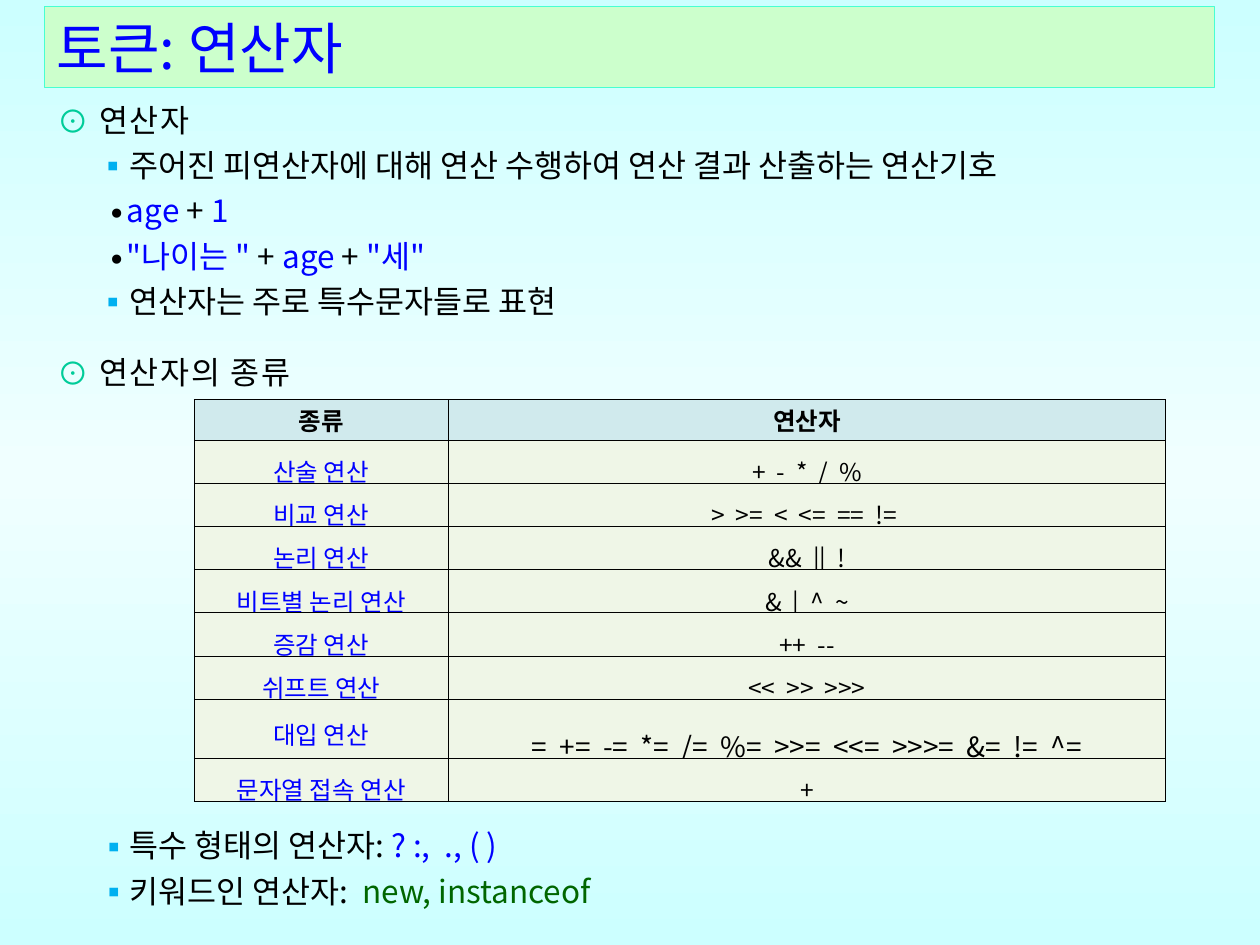
"""Build the slide on operator tokens with its table of operator kinds."""
from dataclasses import dataclass

from pptx import Presentation
from pptx.dml.color import RGBColor
from pptx.enum.text import MSO_ANCHOR, MSO_AUTO_SIZE, PP_ALIGN
from pptx.oxml.ns import qn
from pptx.oxml.xmlchemy import OxmlElement
from pptx.util import Inches, Pt

CENTER, LEFT = PP_ALIGN.CENTER, PP_ALIGN.LEFT
MIDDLE = MSO_ANCHOR.MIDDLE
NO_AUTOFIT = MSO_AUTO_SIZE.NONE
TITLE_ONLY = 5


@dataclass(frozen=True)
class Theme:
    face: str = "Noto Sans CJK KR"
    title_size: float = 32
    body_size: float = 18
    assignment_size: float = 16
    table_size: float = 14
    ink: str = "000000"
    blue: str = "0000FF"
    green: str = "006600"
    ring: str = "00CC99"
    square: str = "00B0F0"
    title_fill: str = "CCFFCC"
    title_line: str = "47FFD1"
    header_fill: str = "D0EAED"
    row_fill: str = "EFF6E7"
    background: tuple = ("CCFFFF", "F0FFFF", "CCFFFF")


@dataclass(frozen=True)
class Level:
    mark: str
    color: str
    margin: float
    hanging: float
    tracking: int = 0


THEME = Theme()
HEADING = Level("⊙", THEME.ring, 0.33, 0.33, 100)
POINT = Level("▪", THEME.square, 0.56, 0.24)
EXAMPLE = Level("∙", THEME.ink, 0.55, 0.16)
CLOSING = Level("▪", THEME.square, 0.45, 0.24)

INK, BLUE, GREEN = THEME.ink, THEME.blue, THEME.green
DEFINITION = [
    (HEADING, [("연산자", INK)]),
    (POINT, [("주어진 피연산자에 대해 연산 수행하여 연산 결과 산출하는 연산기호", INK)]),
    (EXAMPLE, [("age ", BLUE), ("+", INK), (" 1", BLUE)]),
    (EXAMPLE, [('"나이는 " ', BLUE), ("+", INK), (" age ", BLUE), ("+ ", INK), ('"세"', BLUE)]),
    (POINT, [("연산자는 주로 특수문자들로 표현", INK)]),
    (HEADING, [("연산자의 종류", INK)]),
]
SPECIAL_FORMS = [
    (CLOSING, [("특수 형태의 연산자: ", INK), ("? :,  ., ( )", BLUE)]),
    (CLOSING, [("키워드인 연산자:  ", INK), ("new, instanceof", GREEN)]),
]
HEADER = ("종류", "연산자")
ASSIGNMENT = "대입 연산"
OPERATORS = [
    ("산술 연산", "+  -  *  /  %"),
    ("비교 연산", ">  >=  <  <=  ==  != "),
    ("논리 연산", "&&  ||  !"),
    ("비트별 논리 연산", "&  |  ^  ~"),
    ("증감 연산", "++  --"),
    ("쉬프트 연산", "<<  >>  >>>"),
    (ASSIGNMENT, "=  +=  -=  *=  /=  %=  >>=  <<=  >>>=  &=  !=  ^="),
    ("문자열 접속 연산", "+"),
]


def element(tag, **attributes):
    """Return a new XML element with the given attributes."""
    node = OxmlElement(tag)
    for name, value in attributes.items():
        node.set(name, str(value))
    return node


def solid_color(tag, color):
    """Return an element that wraps one RGB colour."""
    node = element(tag)
    node.append(element("a:srgbClr", val=color))
    return node


class SlideBuilder:
    """Hold the theme and the current slide."""

    def __init__(self, slide, theme):
        self.slide = slide
        self.theme = theme

    def background(self):
        """Fill the background with a vertical gradient of even stops."""
        fill = self.slide.background.fill
        fill.gradient()
        fill.gradient_angle = 90
        stops = self.slide.element.find(".//" + qn("a:gsLst"))
        for stop in list(stops):
            stops.remove(stop)
        colors = self.theme.background
        for index, color in enumerate(colors):
            stop = element("a:gs", pos=index * 100000 // (len(colors) - 1))
            stop.append(element("a:srgbClr", val=color))
            stops.append(stop)

    def set_font(self, paragraph, size, color=INK, bold=False):
        """Format a whole paragraph."""
        font = paragraph.font
        font.name, font.size, font.bold = self.theme.face, Pt(size), bold
        font.color.rgb = RGBColor.from_string(color)
        properties = paragraph._p.get_or_add_pPr()
        properties.find(qn("a:defRPr")).append(element("a:ea", typeface=self.theme.face))

    def set_bullet(self, paragraph, level):
        """Give a paragraph a coloured mark and a hanging indent."""
        properties = paragraph._p.get_or_add_pPr()
        properties.set("marL", str(Inches(level.margin)))
        properties.set("indent", str(-Inches(level.hanging)))
        for node in (
            solid_color("a:buClr", level.color),
            element("a:buFont", typeface=self.theme.face),
            element("a:buChar", char=level.mark),
        ):
            properties.insert_element_before(node, "a:defRPr")

    def title(self, text, left, top, width, height):
        """Place the title in its filled band."""
        shape = self.slide.shapes.title
        shape.left, shape.top = Inches(left), Inches(top)
        shape.width, shape.height = Inches(width), Inches(height)
        shape.fill.solid()
        shape.fill.fore_color.rgb = RGBColor.from_string(self.theme.title_fill)
        shape.line.color.rgb = RGBColor.from_string(self.theme.title_line)
        shape.line.width = Pt(0.25)
        frame = shape.text_frame
        frame.text = text
        frame.auto_size = NO_AUTOFIT
        frame.vertical_anchor = MIDDLE
        frame.paragraphs[0].alignment = LEFT
        self.set_font(frame.paragraphs[0], self.theme.title_size, BLUE)

    def bullets(self, items, left, top, width, height, line_spacing, gap, heading_gap):
        """Add a text box of bulleted paragraphs."""
        box = self.slide.shapes.add_textbox(Inches(left), Inches(top), Inches(width), Inches(height))
        frame = box.text_frame
        frame.word_wrap = True
        for index, (level, parts) in enumerate(items):
            paragraph = frame.add_paragraph() if index else frame.paragraphs[0]
            paragraph.line_spacing = line_spacing
            if index:
                paragraph.space_before = Pt(heading_gap if level is HEADING else gap)
            self.set_font(paragraph, self.theme.body_size)
            self.set_bullet(paragraph, level)
            for text, color in parts:
                run = paragraph.add_run()
                run.text = text
                run.font.color.rgb = RGBColor.from_string(color)
                run.font._element.set("spc", str(level.tracking))

    def cell(self, cell, text, fill, size, color=INK, bold=False, line_spacing=1.0):
        """Fill, border and format one table cell."""
        cell.text = text
        cell.vertical_anchor = MIDDLE
        cell.margin_left = cell.margin_right = Inches(0.07)
        cell.margin_top = cell.margin_bottom = Inches(0.02)
        cell.fill.solid()
        cell.fill.fore_color.rgb = RGBColor.from_string(fill)
        paragraph = cell.text_frame.paragraphs[0]
        paragraph.alignment = CENTER
        paragraph.line_spacing = line_spacing
        self.set_font(paragraph, size, color, bold)
        properties = cell._tc.get_or_add_tcPr()
        for index, side in enumerate("LRTB"):
            border = element(f"a:ln{side}", w=Pt(0.25))
            border.append(solid_color("a:solidFill", INK))
            properties.insert(index, border)

    def operator_table(self, left, top, widths, heights):
        """Add the table of operator kinds."""
        theme = self.theme
        table = self.slide.shapes.add_table(
            len(heights), len(widths), Inches(left), Inches(top), Inches(sum(widths)), Inches(sum(heights))
        ).table
        for column, width in zip(table.columns, widths):
            column.width = Inches(width)
        for row, height in zip(table.rows, heights):
            row.height = Inches(height)
        for column, text in enumerate(HEADER):
            self.cell(table.cell(0, column), text, theme.header_fill, theme.table_size, bold=True)
        for row, (kind, symbols) in enumerate(OPERATORS, start=1):
            size, spacing = (theme.assignment_size, 1.6) if kind == ASSIGNMENT else (theme.table_size, 1.3)
            self.cell(table.cell(row, 0), kind, theme.row_fill, theme.table_size, BLUE, line_spacing=1.3)
            self.cell(table.cell(row, 1), symbols, theme.row_fill, size, line_spacing=spacing)


def main():
    """Build and save the presentation."""
    presentation = Presentation()
    presentation.slide_width, presentation.slide_height = Inches(10), Inches(7.5)
    slide = presentation.slides.add_slide(presentation.slide_layouts[TITLE_ONLY])
    builder = SlideBuilder(slide, THEME)
    builder.background()
    builder.title("토큰: 연산자", 0.35, 0.05, 9.29, 0.64)
    builder.bullets(DEFINITION, 0.36, 0.69, 9.53, 2.48, line_spacing=1.2, gap=0, heading_gap=14.5)
    builder.bullets(SPECIAL_FORMS, 0.47, 6.51, 9.53, 0.78, line_spacing=1.0, gap=4.5, heading_gap=0)
    heights = [0.47 if kind == ASSIGNMENT else 0.34 for kind, _ in OPERATORS]
    builder.operator_table(1.54, 3.17, [2.02, 5.69], [0.32] + heights)
    presentation.save("out.pptx")


if __name__ == "__main__":
    main()
